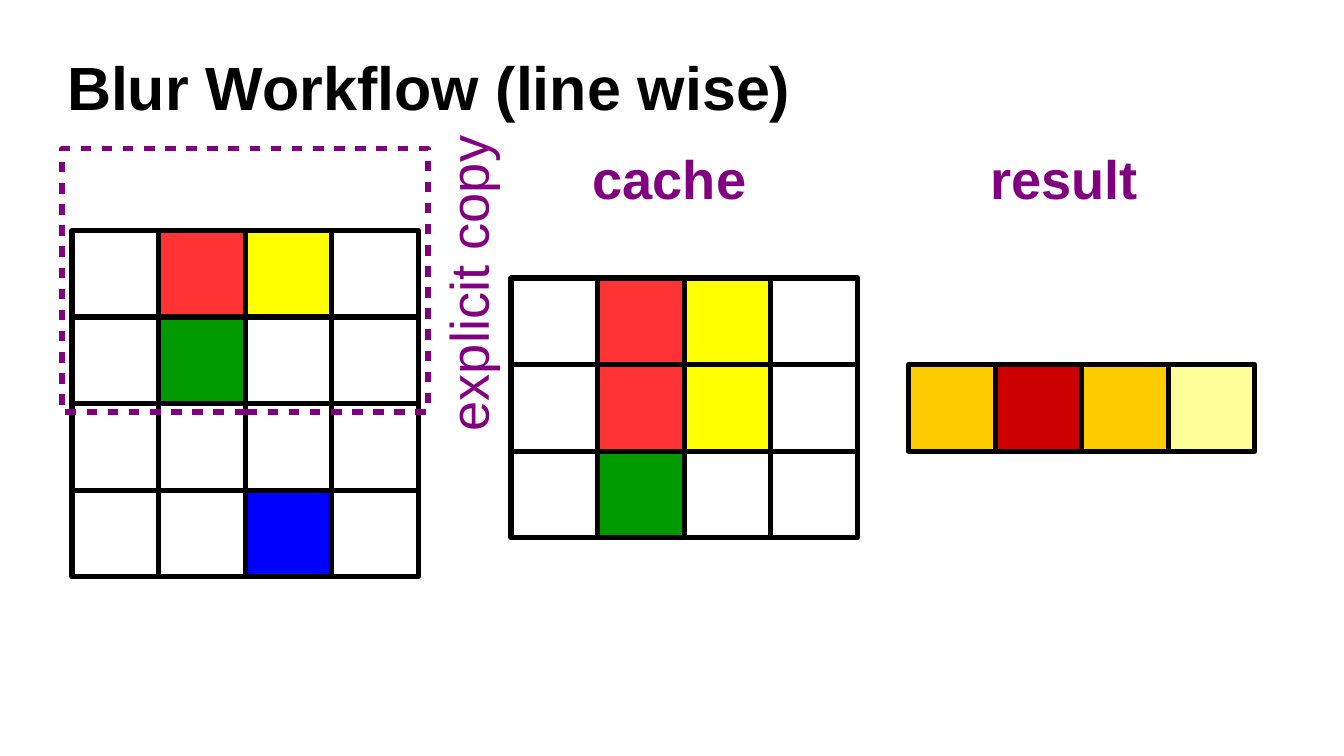
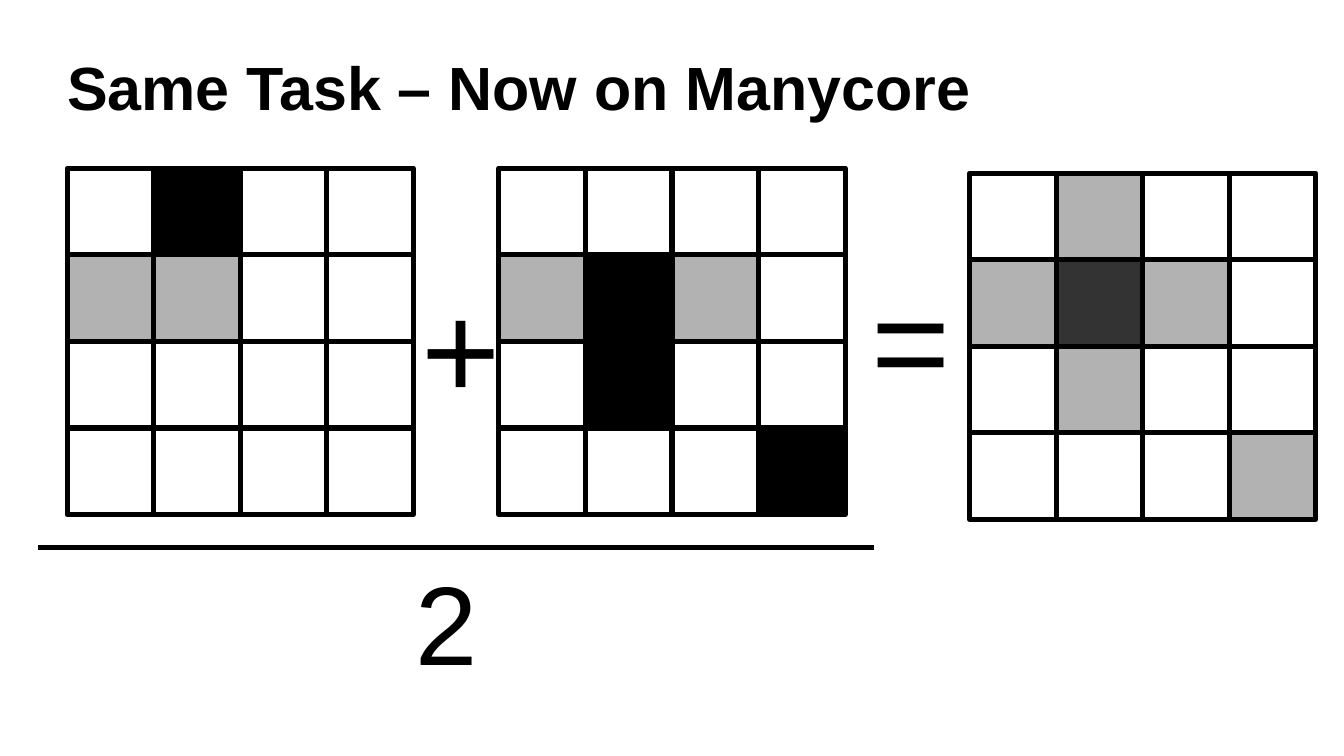
from lxml import etree
from pptx import Presentation
from pptx.dml.color import RGBColor
from pptx.enum import shapes, text
from pptx.oxml.ns import qn
from pptx.util import Inches, Pt

BLACK = RGBColor(0x00, 0x00, 0x00)
WHITE = RGBColor(0xFF, 0xFF, 0xFF)
PURPLE = RGBColor(0x80, 0x00, 0x80)
PIXELS = {
    ".": WHITE,
    "K": BLACK,
    "D": RGBColor(0x33, 0x33, 0x33),
    "L": RGBColor(0xB2, 0xB2, 0xB2),
    "R": RGBColor(0xFF, 0x33, 0x33),
    "Y": RGBColor(0xFF, 0xFF, 0x00),
    "G": RGBColor(0x00, 0x99, 0x00),
    "B": RGBColor(0x00, 0x00, 0xFF),
    "O": RGBColor(0xFF, 0xCC, 0x00),
    "C": RGBColor(0xCC, 0x00, 0x00),
    "P": RGBColor(0xFF, 0xFF, 0x99),
}
FONT = "Arial"
CELL = 0.71
CELL_LINE = 3
MARK_LINE = 3.12

TITLE_AT = (0.55, 0.43, 9.92, 0.56)
TITLE = {"size": Pt(36), "bold": True}
HEADING = {"size": Pt(32), "bold": True}
NOTE = {"size": Pt(32), "bold": False}
OPERATOR = {"size": Pt(80), "bold": False}
DIVISOR = {"size": Pt(66), "bold": False}

WORKFLOW = {
    "title": "Blur Workflow (line wise)",
    "grids": [
        (0.59, 1.89, [".RY.", ".G..", "....", "..B."]),
        (4.19, 2.28, [".RY.", ".RY.", ".G.."]),
        (7.45, 2.99, ["OCOP"]),
    ],
    "headings": [
        ("cache", (4.76, 1.14, 1.87, 0.6)),
        ("result", (8.02, 1.14, 1.87, 0.6)),
    ],
    "copy_window": (0.51, 1.22, 3, 2.16),
    "copy_note": ("explicit copy", (2.63, 1.65, 2.87, 1.1)),
}
MANYCORE = {
    "title": "Same Task – Now on Manycore",
    "grids": [
        (0.55, 1.38, [".K..", "LL..", "....", "...."]),
        (4.09, 1.38, ["....", "LKL.", ".K..", "...K"]),
        (7.95, 1.42, [".L..", "LDL.", ".L..", "...L"]),
    ],
    "operators": [
        ("+", (3.36, 2.48, 0.79, 0.71)),
        ("=", (7.05, 2.4, 0.79, 0.71)),
    ],
    "fraction_bar": (0.31, 4.49, 7.17, 4.49),
    "divisor": ("2", (3.31, 4.49, 0.82, 1.34)),
}


def inches(lengths):
    return [Inches(length) for length in lengths]


def set_line(line, color, width):
    line.color.rgb = color
    line.width = Pt(width)


def add_text(slide, wording, at, style, color=BLACK, align=text.PP_ALIGN.LEFT, **frame_format):
    box = slide.shapes.add_textbox(*inches(at))
    frame = box.text_frame
    for name, value in {"word_wrap": True, **frame_format}.items():
        setattr(frame, name, value)
    paragraph = frame.paragraphs[0]
    paragraph.alignment = align
    run = paragraph.add_run()
    run.text = wording
    for name, value in {"name": FONT, **style}.items():
        setattr(run.font, name, value)
    run.font.color.rgb = color
    return box


def add_rect(slide, at, line_color, line_width, fill=None):
    rect = slide.shapes.add_shape(shapes.MSO_SHAPE.RECTANGLE, *inches(at))
    rect.shadow.inherit = False
    if fill is None:
        rect.fill.background()
    else:
        rect.fill.solid()
        rect.fill.fore_color.rgb = fill
    set_line(rect.line, line_color, line_width)
    return rect


def add_grid(slide, left, top, rows):
    for row, pixels in enumerate(rows):
        for column, pixel in enumerate(pixels):
            at = (left + column * CELL, top + row * CELL, CELL, CELL)
            add_rect(slide, at, BLACK, CELL_LINE, PIXELS[pixel])


def add_copy_window(slide, at):
    window = add_rect(slide, at, PURPLE, MARK_LINE)
    dashes = etree.SubElement(window.line._get_or_add_ln(), qn("a:custDash"))
    etree.SubElement(dashes, qn("a:ds"), d="200000", sp="200000")


def add_fraction_bar(slide, ends):
    bar = slide.shapes.add_connector(shapes.MSO_CONNECTOR.STRAIGHT, *inches(ends))
    set_line(bar.line, BLACK, MARK_LINE)
    etree.SubElement(bar._element.spPr, qn("a:effectLst"))


def add_slide(deck, content):
    slide = deck.slides.add_slide(deck.slide_layouts[6])
    margins = dict.fromkeys(("margin_left", "margin_top", "margin_right", "margin_bottom"), 0)
    add_text(slide, content["title"], TITLE_AT, TITLE,
             vertical_anchor=text.MSO_ANCHOR.MIDDLE, **margins)
    for grid in content["grids"]:
        add_grid(slide, *grid)
    return slide


def add_workflow(deck):
    slide = add_slide(deck, WORKFLOW)
    add_copy_window(slide, WORKFLOW["copy_window"])
    for wording, at in WORKFLOW["headings"]:
        add_text(slide, wording, at, HEADING, PURPLE)
    copy_note = add_text(slide, *WORKFLOW["copy_note"], NOTE, PURPLE)
    copy_note.rotation = 270


def add_manycore(deck):
    slide = add_slide(deck, MANYCORE)
    for sign, at in MANYCORE["operators"]:
        add_text(slide, sign, at, OPERATOR, align=text.PP_ALIGN.CENTER,
                 word_wrap=False, vertical_anchor=text.MSO_ANCHOR.MIDDLE)
    add_fraction_bar(slide, MANYCORE["fraction_bar"])
    add_text(slide, *MANYCORE["divisor"], DIVISOR)


def main():
    deck = Presentation()
    deck.slide_width, deck.slide_height = inches((11.02, 6.2))
    add_workflow(deck)
    add_manycore(deck)
    deck.save("out.pptx")


if __name__ == "__main__":
    main()
